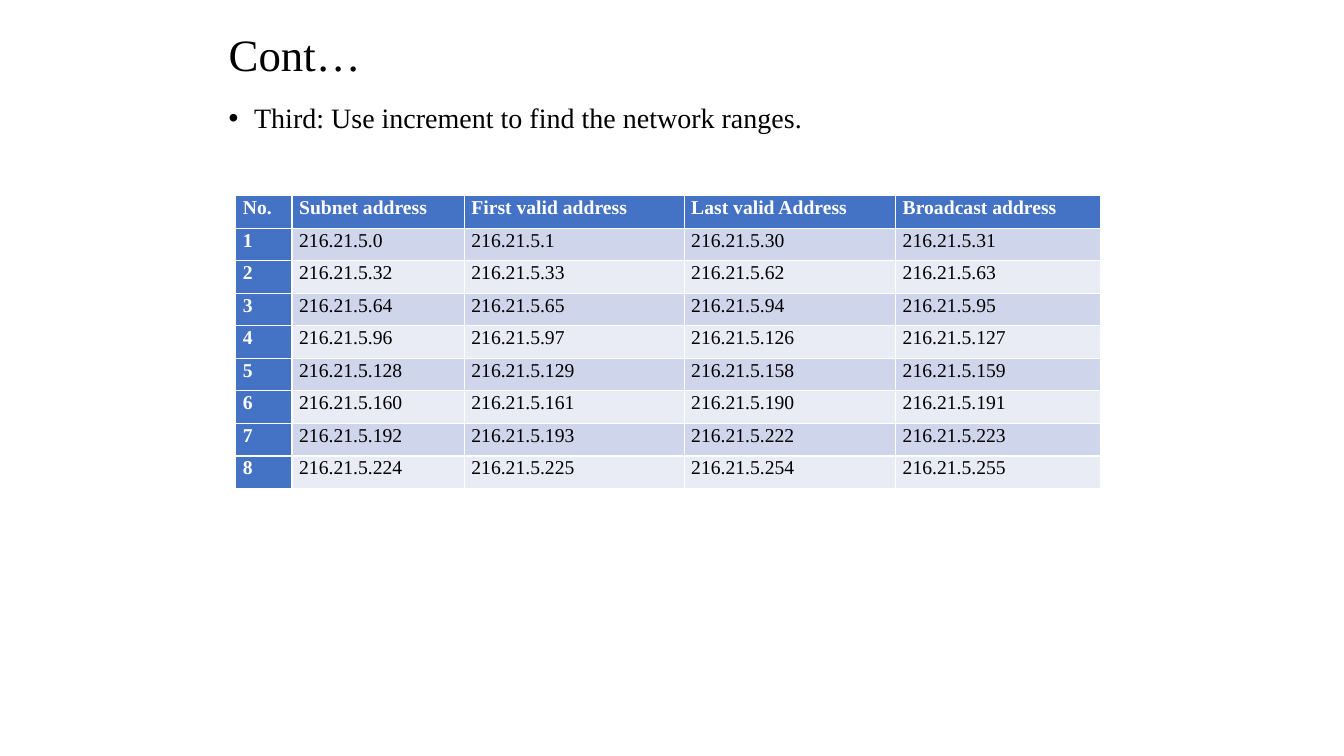
"""Builds a slide that lists the network ranges of eight subnets."""
import pptx
import pptx.dml.color
import pptx.enum.text
import pptx.oxml
import pptx.oxml.ns
import pptx.util

Cm = pptx.util.Cm
RGBColor = pptx.dml.color.RGBColor

BLACK = RGBColor(0x00, 0x00, 0x00)
WHITE = RGBColor(0xFF, 0xFF, 0xFF)
BLUE = RGBColor(0x44, 0x72, 0xC4)
BAND_DARK = RGBColor(0xCF, 0xD5, 0xEA)
BAND_LIGHT = RGBColor(0xE9, 0xEB, 0xF5)

FONT = "Times New Roman"
NETWORK = "216.21.5"
INCREMENT = 32
SUBNET_COUNT = 8
HEADINGS = ["No.", "Subnet address", "First valid address",
            "Last valid Address", "Broadcast address"]
COLUMN_WIDTHS = [1.42, 4.34, 5.54, 5.33, 5.16]
ROW_HEIGHT = 0.82


def add_run(paragraph, text, size, color, bold=False):
    run = paragraph.add_run()
    run.text = text
    run.font.name = FONT
    run.font.size = pptx.util.Pt(size)
    run.font.color.rgb = color
    run.font.bold = bold


def fill_placeholder(shape, text, size, left, top, width, height):
    shape.left, shape.top = Cm(left), Cm(top)
    shape.width, shape.height = Cm(width), Cm(height)
    shape.text_frame.auto_size = pptx.enum.text.MSO_AUTO_SIZE.NONE
    paragraph = shape.text_frame.paragraphs[0]
    paragraph.alignment = pptx.enum.text.PP_ALIGN.LEFT
    paragraph.line_spacing = 0.9
    add_run(paragraph, text, size, BLACK)
    return paragraph


def add_bullet(paragraph):
    paragraph.space_before = pptx.util.Pt(10)
    properties = paragraph._p.get_or_add_pPr()
    properties.set("marL", str(Cm(0.64)))
    properties.set("indent", str(Cm(-0.64)))
    namespace = pptx.oxml.ns.nsdecls("a")
    properties.append(pptx.oxml.parse_xml(f'<a:buFont {namespace} typeface="Arial"/>'))
    properties.append(pptx.oxml.parse_xml(f'<a:buChar {namespace} char="•"/>'))


def subnet_row(number):
    start = (number - 1) * INCREMENT
    offsets = [0, 1, INCREMENT - 2, INCREMENT - 1]
    return [str(number)] + [f"{NETWORK}.{start + offset}" for offset in offsets]


def fill_cell(cell, text, fill, color, bold):
    cell.margin_left = cell.margin_right = Cm(0.18)
    cell.margin_top = cell.margin_bottom = 0
    cell.fill.solid()
    cell.fill.fore_color.rgb = fill
    paragraph = cell.text_frame.paragraphs[0]
    paragraph.line_spacing = 1.07
    add_run(paragraph, text, 14, color, bold)


def add_subnet_table(slide, left, top):
    rows = [HEADINGS] + [subnet_row(number + 1) for number in range(SUBNET_COUNT)]
    frame = slide.shapes.add_table(
        len(rows), len(HEADINGS), Cm(left), Cm(top),
        Cm(sum(COLUMN_WIDTHS)), Cm(ROW_HEIGHT * len(rows)))
    table = frame.table
    table.first_col = True
    for column, width in zip(table.columns, COLUMN_WIDTHS):
        column.width = Cm(width)
    for row_index, texts in enumerate(rows):
        table.rows[row_index].height = Cm(ROW_HEIGHT)
        band = BAND_DARK if row_index % 2 else BAND_LIGHT
        for column_index, text in enumerate(texts):
            heading = row_index == 0 or column_index == 0
            fill_cell(table.cell(row_index, column_index), text,
                      BLUE if heading else band,
                      WHITE if heading else BLACK, heading)


def main():
    presentation = pptx.Presentation()
    presentation.slide_width = Cm(33.87)
    presentation.slide_height = Cm(19.05)
    slide = presentation.slides.add_slide(presentation.slide_layouts[1])
    title, body = slide.shapes.title, slide.placeholders[1]
    title.text_frame.vertical_anchor = pptx.enum.text.MSO_ANCHOR.MIDDLE
    fill_placeholder(title, "Cont…", 32, 5.51, 0.74, 22.86, 1.4)
    add_bullet(fill_placeholder(
        body, "Third: Use increment to find the network ranges.", 20,
        5.51, 2.51, 22.86, 15.04))
    add_subnet_table(slide, 5.94, 4.93)
    presentation.save("out.pptx")


if __name__ == "__main__":
    main()
